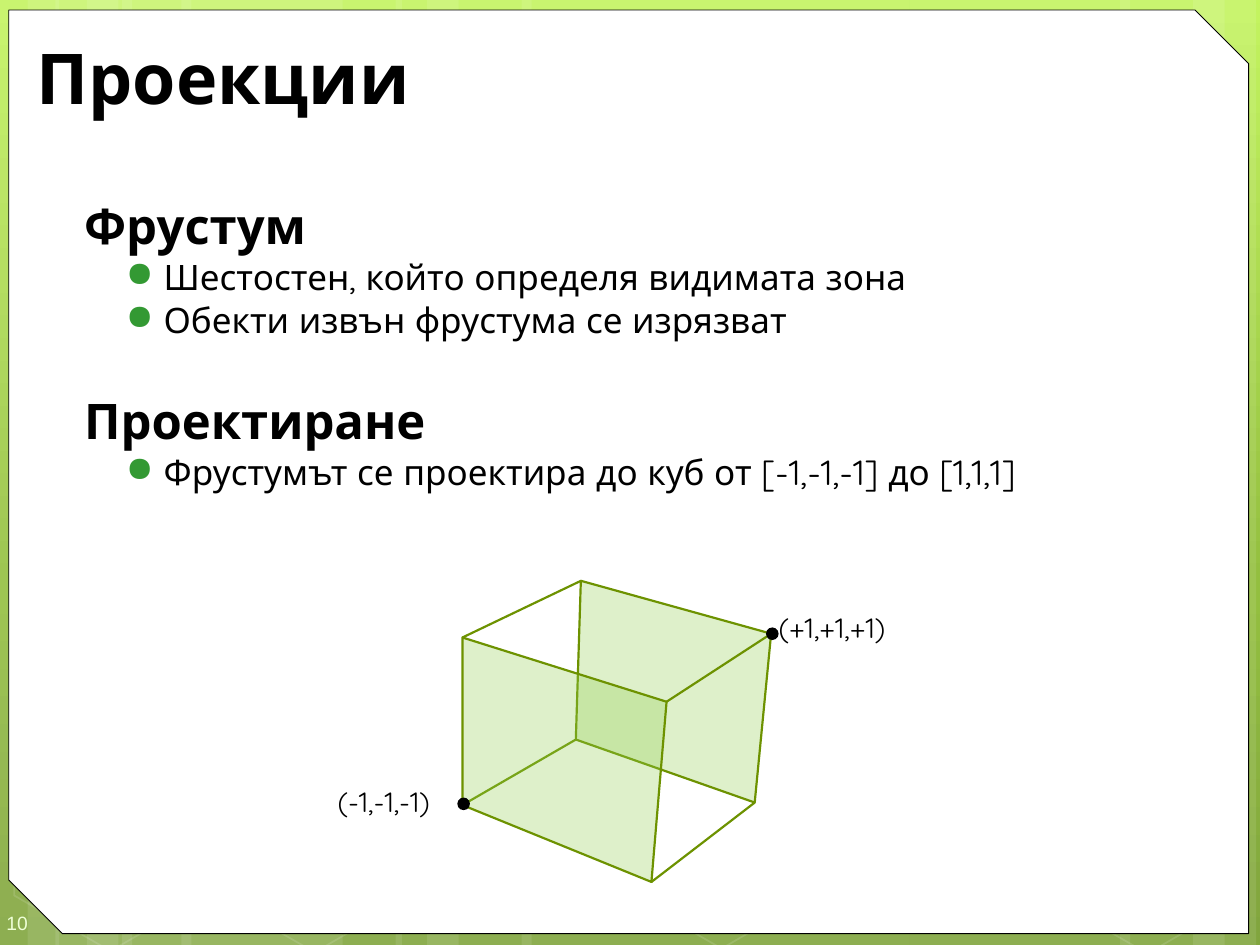
from copy import deepcopy
from typing import NamedTuple

from pptx import Presentation
from pptx.dml.color import RGBColor
from pptx.enum.shapes import MSO_CONNECTOR, MSO_SHAPE
from pptx.enum.text import MSO_ANCHOR, PP_ALIGN
from pptx.oxml.ns import qn
from pptx.util import Inches, Pt

WIDE, HIGH = Inches(10), Inches(7.5)
COL, ROW = WIDE / 100, HIGH / 75
FONT = "Quicksand"
BLACK, WHITE, EDGE, FACE = "000000", "FFFFFF", "6D9200", "92D050"


class Box(NamedTuple):
    left: float
    top: float
    width: float
    height: float


class Item(NamedTuple):
    text: str
    head: bool = False
    gap: float = 0.7


class Mark(NamedTuple):
    text: str
    dot: tuple
    box: Box


SKY = [(0, "C3F35F"), (0.62, "93BF3F"), (1, "81A53E")]
BANDS = [(0, 4.7), (2.2, 8.3), (4.4, 5), (6.9, 8.3), (9.7, 17.5), (14.4, 17.5),
         (31.4, 5), (33.9, 8.3), (41.4, 30.8), (72.2, 17.5), (88.9, 8.3), (94.7, 5)]
HEXES = [(0, 59.1), (16.2, 59.2), (48.5, 58.9), (82.3, 59.3)]
ITEMS = [
    Item("Фрустум", True, 0),
    Item("Шестостен, който определя видимата зона"),
    Item("Обекти извън фрустума се изрязват"),
    Item("Проектиране", True, 28.5),
    Item("Фрустумът се проектира до куб от [-1,-1,-1] до [1,1,1]"),
]
# Matching corners of the two faces, as columns and rows
BACK = [(46.1, 46.1), (61.2, 50.3), (59.9, 63.7), (45.7, 58.7)]
FRONT = [(36.7, 50.6), (52.9, 55.7), (51.7, 70), (36.7, 63.9)]
MARKS = [
    Mark("(-1,-1,-1)", (36.8, 63.8), Box(26.8, 61.3, 9.9, 4.6)),
    Mark("(+1,+1,+1)", (61.3, 50.3), Box(61.8, 47.5, 11.5, 4.6)),
]


def rgb(code: str) -> RGBColor:
    return RGBColor.from_string(code)


def place(box: Box) -> list:
    return [round(n * unit) for n, unit in zip(box, (COL, ROW) * 2)]


def paint(fill, code: str, alpha: int = 100) -> None:
    """Fill with a solid colour; alpha is the opacity in percent."""
    fill.solid()
    fill.fore_color.rgb = rgb(code)
    if alpha < 100:
        tint = fill.fore_color._xFill.find(qn("a:srgbClr"))
        tint.append(tint.makeelement(qn("a:alpha"), {"val": str(alpha * 1000)}))


def style(shape, fill: str = "", alpha: int = 100, line: str = "",
          width: float = 1, fade: int = 100) -> None:
    shape.shadow.inherit = False
    if fill:
        paint(shape.fill, fill, alpha)
    else:
        shape.fill.background()
    if line:
        paint(shape.line.fill, line, fade)
        shape.line.width = Pt(width)
    else:
        shape.line.fill.background()


def add_shape(slide, kind, box: Box, **look):
    shape = slide.shapes.add_shape(kind, *place(box))
    style(shape, **look)
    return shape


def add_face(slide, points: list) -> None:
    spots = [(x * COL, y * ROW) for x, y in points]
    pen = slide.shapes.build_freeform(*spots[0], scale=1.0)
    pen.add_line_segments(spots[1:], close=True)
    style(pen.convert_to_shape(), FACE, 30, EDGE, 1.25)


def add_edge(slide, start: tuple, end: tuple) -> None:
    ends = place(Box(*start, *end))
    line = slide.shapes.add_connector(MSO_CONNECTOR.STRAIGHT, *ends)
    line.line.color.rgb = rgb(EDGE)
    line.line.width = Pt(1.25)
    props = line._element.spPr
    props.append(props.makeelement(qn("a:effectLst"), {}))


def set_font(para, size: float, code: str = BLACK, bold: bool = False,
             name: str = FONT) -> None:
    for run in para.runs:
        font = run.font
        font.name, font.size, font.bold = name, Pt(size), bold
        font.color.rgb = rgb(code)


def add_text(slide, box: Box, insets: tuple = (0, 0.05, 0, 0.05)):
    frame = slide.shapes.add_textbox(*place(box)).text_frame
    frame.word_wrap = True
    frame.vertical_anchor = MSO_ANCHOR.MIDDLE
    (frame.margin_left, frame.margin_top,
     frame.margin_right, frame.margin_bottom) = map(Inches, insets)
    return frame


def indent(para, left: float, first: float, mark: str = "") -> None:
    props = para._p.get_or_add_pPr()
    props.set("marL", str(Inches(left)))
    props.set("indent", str(Inches(first)))
    if mark:
        tint = props.makeelement(qn("a:buClr"), {})
        tint.append(tint.makeelement(qn("a:srgbClr"), {"val": "339933"}))
        props.append(tint)
        props.append(props.makeelement(qn("a:buChar"), {"char": mark}))


def draw_back(slide) -> None:
    fill = slide.background.fill
    fill.gradient()
    fill.gradient_angle = 270
    stops = slide._element.find(".//" + qn("a:gsLst"))
    stops.append(deepcopy(stops[-1]))
    for stop, (spot, code) in zip(fill.gradient_stops, SKY):
        stop.position = spot
        stop.color.rgb = rgb(code)
    for left, width in BANDS:
        add_shape(slide, MSO_SHAPE.RECTANGLE, Box(left, 0, width, 75),
                  fill=WHITE, alpha=10)
    for left, top in HEXES:
        cell = add_shape(slide, MSO_SHAPE.HEXAGON, Box(left, top, 17.5, 15.2),
                         line=WHITE, fade=12)
        cell.adjustments[0] = 0.285
        cell.rotation = 30
    panel = add_shape(slide, MSO_SHAPE.SNIP_2_DIAG_RECTANGLE,
                      Box(0.7, 0.8, 98.4, 73.3), fill=WHITE, line=BLACK, width=0.5)
    panel.adjustments[0], panel.adjustments[1] = 0, 0.058
    frame = add_text(slide, Box(0, 71, 5.8, 4), (0.05, 0.15, 0, 0.1))
    frame.text = "10"
    set_font(frame.paragraphs[0], 11, "EEFFD6", name="Arial")


def draw_title(slide) -> None:
    title = slide.shapes.title
    title.left, title.top, title.width, title.height = place(Box(1.9, 2.5, 94.7, 7.1))
    frame = title.text_frame
    frame.text = "Проекции"
    frame.vertical_anchor = MSO_ANCHOR.MIDDLE
    para = frame.paragraphs[0]
    para.alignment = PP_ALIGN.LEFT
    set_font(para, 40, bold=True)


def draw_list(slide) -> None:
    frame = add_text(slide, Box(5, 15, 94.2, 28), (0.1, 0.05, 0.1, 0.05))
    frame.vertical_anchor = MSO_ANCHOR.TOP
    for i, item in enumerate(ITEMS):
        para = frame.add_paragraph() if i else frame.paragraphs[0]
        para.text = item.text
        para.space_before = Pt(item.gap)
        if item.head:
            indent(para, 0.07, 0)
        else:
            indent(para, 0.7, -0.3, "●")
        set_font(para, 28 if item.head else 20, bold=item.head)


def draw_cube(slide) -> None:
    add_face(slide, BACK)
    for near, far in zip(FRONT, BACK):
        add_edge(slide, near, far)
    add_face(slide, FRONT)
    for mark in MARKS:
        x, y = mark.dot
        add_shape(slide, MSO_SHAPE.OVAL, Box(x - 0.5, y - 0.5, 1, 1), fill=BLACK)
        frame = add_text(slide, mark.box)
        frame.text = mark.text
        set_font(frame.paragraphs[0], 16)


def main() -> None:
    deck = Presentation()
    deck.slide_width, deck.slide_height = WIDE, HIGH
    slide = deck.slides.add_slide(deck.slide_layouts[5])
    draw_back(slide)
    # The title is the first shape, so lift it above the panel
    tree = slide.shapes._spTree
    tree.append(slide.shapes.title._element)
    draw_title(slide)
    draw_list(slide)
    draw_cube(slide)
    deck.save("out.pptx")


if __name__ == "__main__":
    main()
